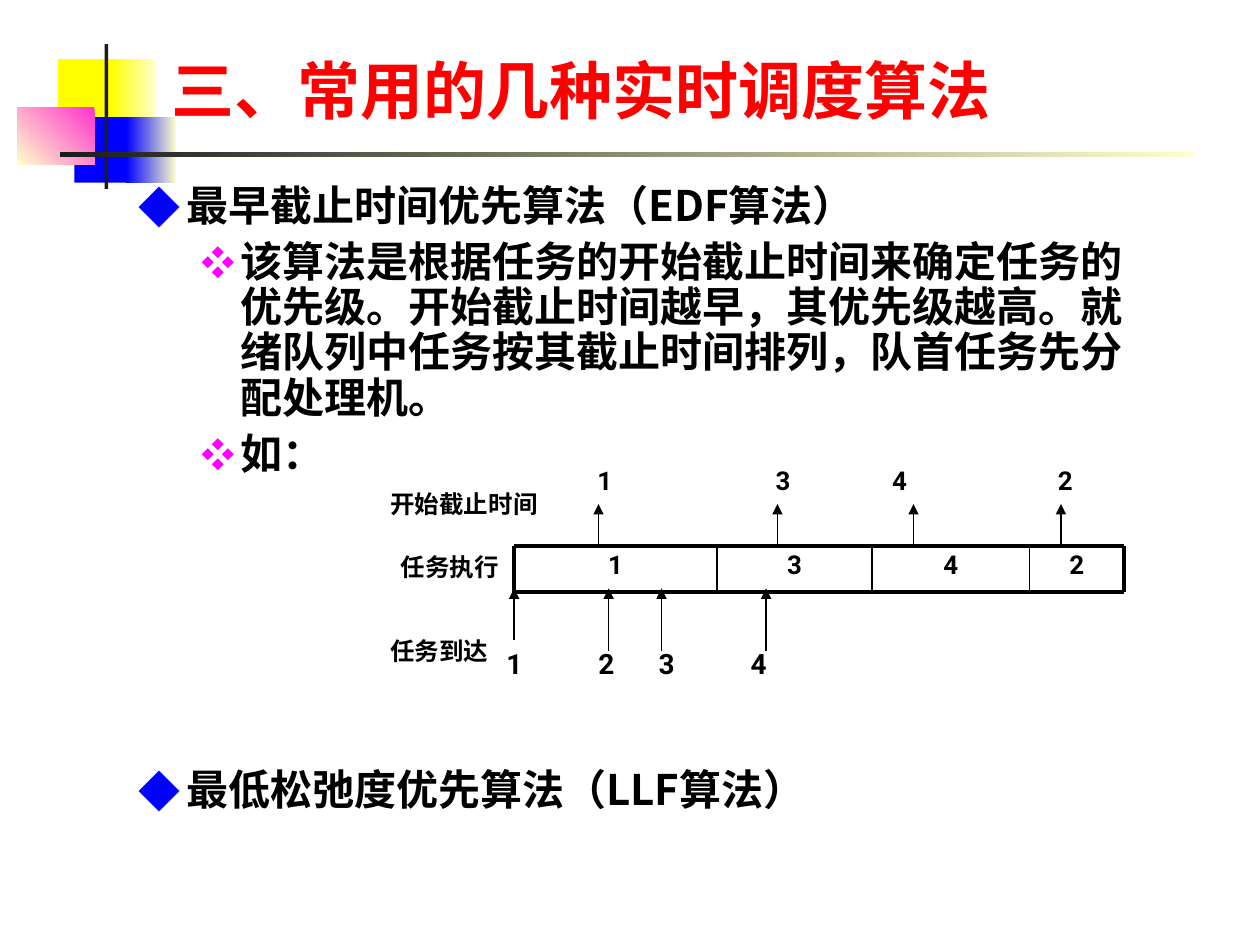
from itertools import pairwise

from lxml import etree
from pptx import Presentation
from pptx import util as u
from pptx.dml.color import RGBColor
from pptx.enum import shapes, text
from pptx.oxml.ns import qn

COLORS = {
    "yellow": "FFFF00", "cream": "FFFFCC", "blue": "0000FF", "pink": "FF33CC",
    "dark": "1C1C1C", "red": "FF0000", "black": "000000", "magenta": "FF00FF",
}
CJK_FONT = "Noto Sans CJK SC"
LATIN_FONT = "Roboto"
CENTER = text.PP_ALIGN.CENTER


def color(name):
    return RGBColor.from_string(COLORS[name])


def add_xml(parent, tag, **attributes):
    return etree.SubElement(parent, qn(tag), attributes)


class SlideBuilder:
    """Holds the slide and its text style."""

    def __init__(self, slide):
        self.slide = slide
        self.font = {"name": LATIN_FONT, "bold": True}

    def block(self, left, top, width, height, fill, angle=None):
        """A plain rectangle; two fill names make a gradient."""
        shape = self.slide.shapes.add_shape(
            shapes.MSO_SHAPE.RECTANGLE, *map(u.Inches, (left, top, width, height)))
        shape.shadow.inherit = False
        shape.line.fill.background()
        if angle is None:
            shape.fill.solid()
            shape.fill.fore_color.rgb = color(fill)
            return
        shape.fill.gradient()
        shape.fill.gradient_angle = angle
        for stop, name, position in zip(shape.fill.gradient_stops, fill, (0, 1)):
            stop.color.rgb = color(name)
            stop.position = position

    def box(self, left, top, width, height, anchor=text.MSO_ANCHOR.TOP):
        frame = self.slide.shapes.add_textbox(
            *map(u.Inches, (left, top, width, height))).text_frame
        frame.word_wrap = True
        frame.vertical_anchor = anchor
        return frame

    def add_words(self, para, words, size, ink="black", name=LATIN_FONT, **layout):
        for key, value in layout.items():
            setattr(para, key, value)
        span = para.add_run()
        span.text = words
        for key, value in {**self.font, "name": name, "size": u.Pt(size)}.items():
            setattr(span.font, key, value)
        span.font.color.rgb = color(ink)
        add_xml(span.font._element, "a:ea", typeface=CJK_FONT)

    def label(self, words, left, top, width, height, size, **layout):
        frame = self.box(left, top, width, height)
        self.add_words(frame.paragraphs[0], words, size, **layout)

    def bullet(self, para, mark, ink, scale, margin, hanging):
        props = para._p.get_or_add_pPr()
        props.set("marL", str(u.Inches(margin)))
        props.set("indent", str(-u.Inches(hanging)))
        holder = add_xml(props, "a:buClr")
        add_xml(holder, "a:srgbClr", val=COLORS[ink])
        add_xml(props, "a:buSzPct", val=str(scale * 1000))
        add_xml(props, "a:buFont", typeface=CJK_FONT)
        add_xml(props, "a:buChar", char=mark)

    def line(self, x1, y1, x2, y2, width, arrow=False):
        connector = self.slide.shapes.add_connector(
            shapes.MSO_CONNECTOR.STRAIGHT, *map(u.Inches, (x1, y1, x2, y2)))
        connector.line.width = u.Pt(width)
        connector.line.color.rgb = color("black")
        if arrow:
            add_xml(connector.line._get_or_add_ln(), "a:tailEnd", type="triangle")
        add_xml(connector._element.spPr, "a:effectLst")


def add_ornament(page):
    page.block(0.46, 0.47, 0.48, 0.52, "yellow")
    page.block(0.88, 0.47, 0.36, 0.52, ("cream", "yellow"), 180)
    page.block(0.59, 0.93, 0.46, 0.52, "blue")
    page.block(1, 0.93, 0.4, 0.52, ("cream", "blue"), 180)
    page.block(0.14, 0.85, 0.61, 0.46, ("pink", "cream"), 225)
    page.block(0.83, 0.35, 0.03, 1.15, "dark")
    page.block(0.48, 1.21, 9, 0.04, ("cream", "dark"), 180)


def add_body(page):
    topic = ("◆", "blue", 100, 0.38, 0.38)
    detail = ("❖", "magenta", 80, 0.81, 0.31)
    # The large gap before the last topic leaves room for the timeline
    items = [
        (topic, 0, "最早截止时间优先算法（EDF算法）"),
        (detail, 6, "该算法是根据任务的开始截止时间来确定任务的优先级。"
                    "开始截止时间越早，其优先级越高。"
                    "就绪队列中任务按其截止时间排列，队首任务先分配处理机。"),
        (detail, 6, "如："),
        (topic, 166, "最低松弛度优先算法（LLF算法）"),
    ]
    frame = page.box(1, 1.42, 8.06, 5.32)
    for index, (style, gap, words) in enumerate(items):
        para = frame.add_paragraph() if index else frame.paragraphs[0]
        page.bullet(para, *style)
        page.add_words(para, words, 24, name=CJK_FONT,
                       line_spacing=0.9, space_before=u.Pt(gap))


def add_timeline(page):
    top, bottom = 4.33, 4.7
    edges = [4.08, 5.69, 6.92, 8.17, 8.92]
    centered = {"alignment": CENTER, "line_spacing": 0.9}

    # Deadlines above the bar
    for task, left, width in (("1", 4, 1.6), ("3", 5.6, 1.23),
                              ("4", 6.83, 0.62), ("2", 8.08, 0.75)):
        page.label(task, left, 3.67, width, 0.37, 14.8, **centered)
    for x in (4.75, 6.17, 7.25, 8.42):
        page.line(x, top, x, 4, 0.75, arrow=True)

    # Execution bar
    for task, (left, right) in zip("1342", pairwise(edges)):
        page.label(task, left, top, right - left, bottom - top, 14.8, **centered)
    for y in (top, bottom):
        page.line(edges[0], y, edges[-1], y, 2.25)
    for x in edges:
        page.line(x, top, x, bottom, 2.25 if x in (edges[0], edges[-1]) else 1)

    # Arrivals below the bar
    for task, left, width in (("1", 3.92, 0.73), ("2", 4.65, 0.48),
                              ("3", 5.13, 0.73), ("4", 5.86, 0.39)):
        page.label(task, left, 5.08, width, 0.5, 16)
    for x, start in ((4.08, 5.08), (4.83, 5.17), (5.25, 5.17), (6.08, 5.17)):
        page.line(x, start, x, 4.67, 0.75, arrow=True)

    # Row names
    for words, left, y, width in (("开始截止时间", 3, 3.83, 1.42),
                                  ("任务执行", 3.08, 4.33, 1.08),
                                  ("任务到达", 3, 5, 1.08)):
        page.label(words, left, y, width, 0.34, 14)


def main():
    deck = Presentation()
    deck.slide_width, deck.slide_height = u.Inches(10), u.Inches(7.5)
    page = SlideBuilder(deck.slides.add_slide(deck.slide_layouts[6]))
    add_ornament(page)
    title = page.box(1.26, 0, 8.52, 1.06, text.MSO_ANCHOR.BOTTOM)
    page.add_words(title.paragraphs[0], "三、常用的几种实时调度算法", 36, "red")
    add_body(page)
    add_timeline(page)
    deck.save("out.pptx")


if __name__ == "__main__":
    main()
